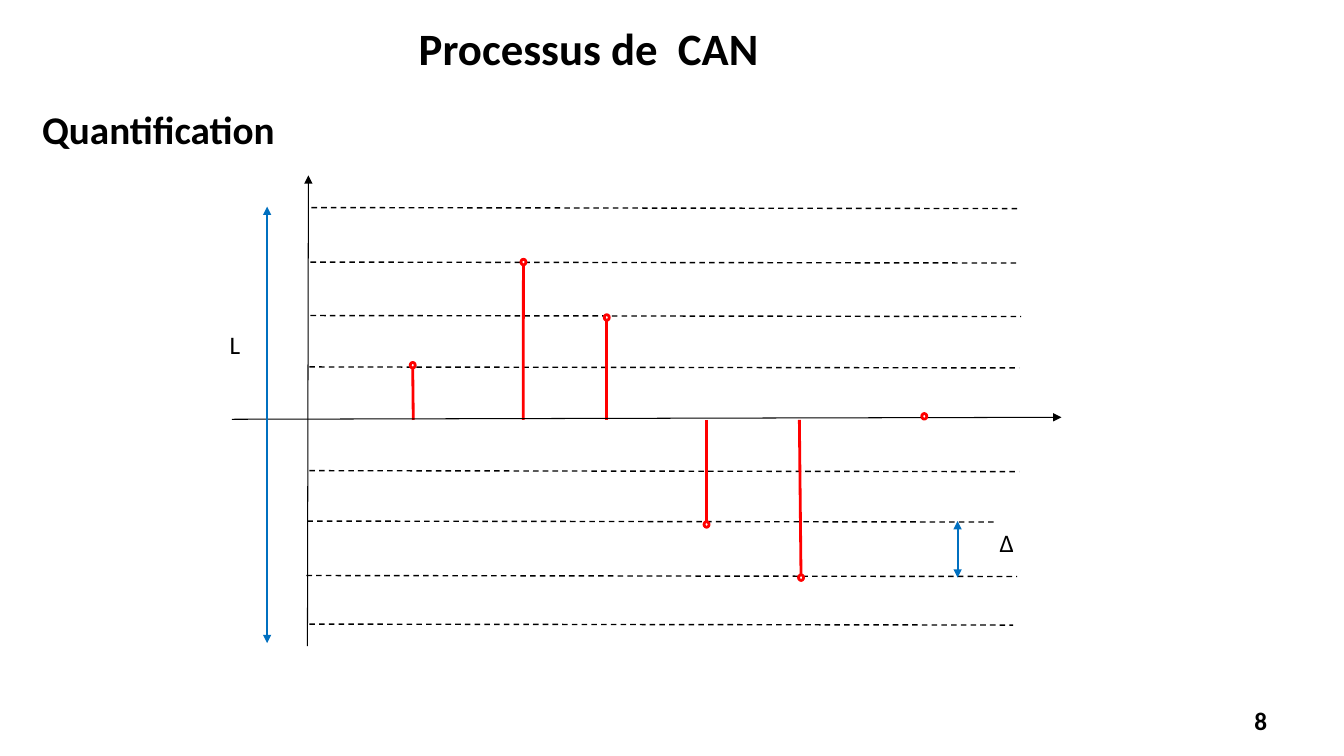
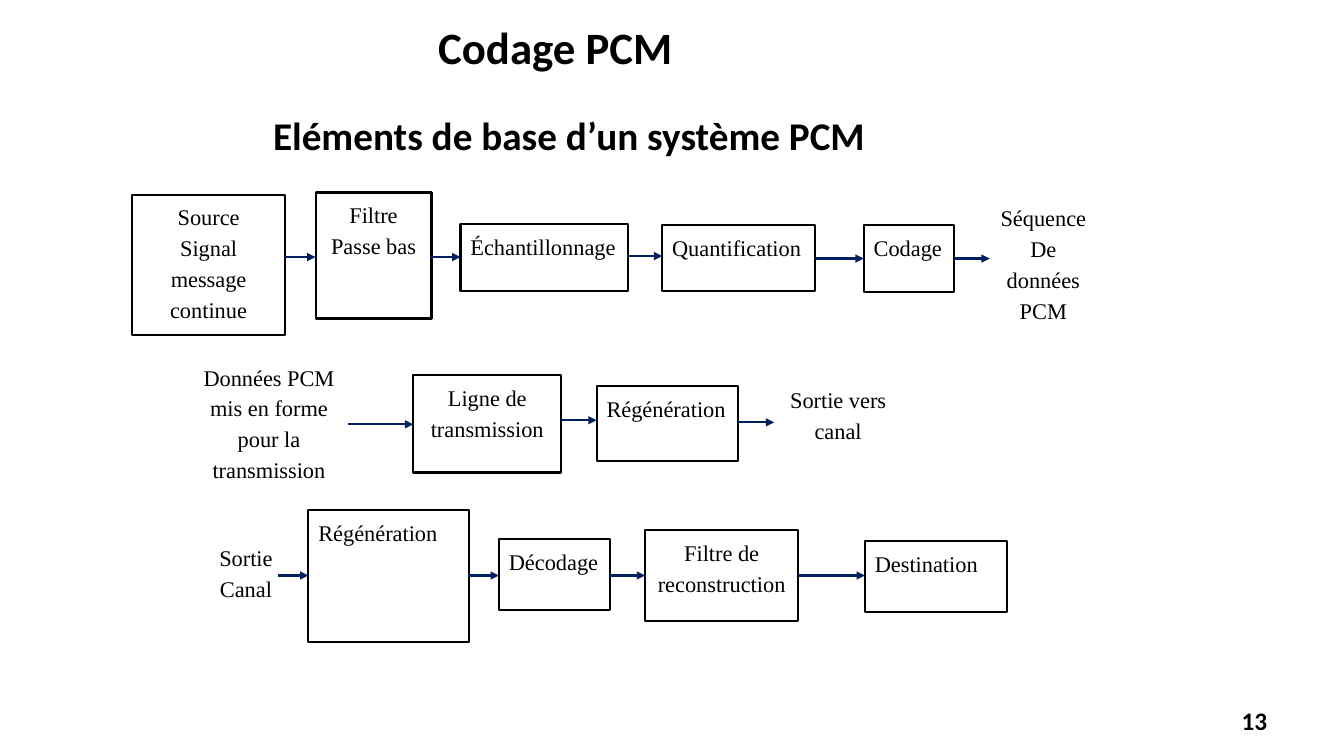
from itertools import pairwise

from lxml import etree
from pptx import Presentation
from pptx.dml.color import RGBColor
from pptx.enum.dml import MSO_LINE
from pptx.enum.shapes import MSO_CONNECTOR, MSO_SHAPE
from pptx.enum.text import MSO_ANCHOR, PP_ALIGN
from pptx.oxml.ns import qn
from pptx.util import Pt

LEFT, CENTER, RIGHT = PP_ALIGN.LEFT, PP_ALIGN.CENTER, PP_ALIGN.RIGHT
TOP, MIDDLE = MSO_ANCHOR.TOP, MSO_ANCHOR.MIDDLE
DASH = MSO_LINE.DASH
STRAIGHT = MSO_CONNECTOR.STRAIGHT

COLORS = {"ink": "000000", "paper": "FFFFFF", "sample": "FF0000",
          "measure": "0070C0", "flow": "002060"}
HEADING_FONT, BLOCK_FONT = "Calibri", "Times New Roman"
NUMBER_BOX = (688.3, 500.4, 223.9, 28.8)

# Quantification chart: axes, levels and samples
ORIGIN_Y = 299
AXES = [((165.6, 299.5), (758.2, 298.1)), ((219.6, 461.5), (220.3, 125.3))]
LEVEL_DROP = 0.7
LEVELS = [  # y, left, right
    (148.3, 222.5, 729.4), (187.2, 221.8, 728.6), (225.4, 221.8, 729.4),
    (262.1, 221, 728), (336.2, 221, 728), (372.2, 219.6, 710.6),
    (411.1, 218.9, 726.5), (445.8, 221, 723.6),
]
SAMPLES = [  # x on the axis, x at the tip, y of the tip
    (295.2, 294.8, 260.9), (373.7, 373.9, 187.2), (433.4, 433.4, 226.8),
    (504.7, 504.7, 374.6), (571, 572.2, 412.6), (660.2, 660.2, 297.4),
]
DOT_WIDTH, DOT_HEIGHT = 3.6, 4
MEASURES = [  # x, top, bottom
    (190.8, 147.6, 459.4), (684, 372.2, 412.6),
]
MEASURE_LABELS = [("L", (157, 231.8, 22.3, 28.8)),
                  ("Δ", (707, 373, 45.4, 28.8))]

# PCM chains: blocks as (text, box, outlined), then one arrow height per gap
CHAINS = [
    ([("Source\nSignal message continue", (94.3, 139, 109.4, 100.1), True),
      ("Filtre\nPasse bas", (225.4, 137.5, 82.8, 90), True),
      ("Échantillonnage", (329, 159.8, 119.5, 48.2), True),
      ("Quantification", (473, 160.6, 109.4, 47.5), True),
      ("Codage", (617, 160.6, 64.5, 48.2), True),
      ("Séquence\nDe données\nPCM", (707, 139.7, 76.5, 99.4), False)],
     [183.6, 183.6, 182.9, 184.7, 184.7]),
    ([("Données PCM mis en forme pour la transmission",
       (136, 253.4, 112.3, 99.4), False),
      ("Ligne de transmission", (295.2, 267.8, 105.8, 69.8), True),
      ("Régénération", (426.2, 275.8, 100.8, 53.3), True),
      ("Sortie vers canal", (553, 269.3, 91.4, 63.4), False)],
     [303.1, 300.2, 301.7]),
    ([("Sortie\nCanal", (133.2, 382.3, 85, 59), False),
      ("Régénération", (220.3, 364.3, 114.5, 94.3), True),
      ("Décodage", (356.4, 385.2, 79.5, 50.4), True),
      ("Filtre de reconstruction", (460.8, 378.7, 109.4, 64.8), True),
      ("Destination", (617.8, 386.6, 101.5, 50.4), True)],
     [411.1] * 4),
]
MIN_ARROW = 22


def color(name):
    return RGBColor.from_string(COLORS[name])


def write(shape, text, size, font=HEADING_FONT, bold=False, align=LEFT,
          anchor=TOP, spacing=1.0):
    frame = shape.text_frame
    frame.word_wrap = True
    frame.vertical_anchor = anchor
    frame.text = text
    for paragraph in frame.paragraphs:
        paragraph.alignment = align
        paragraph.line_spacing = spacing
        paragraph.font.name = font
        paragraph.font.size = Pt(size)
        paragraph.font.bold = bold
        paragraph.font.color.rgb = color("ink")


def add_text(slide, text, box, size, **style):
    write(slide.shapes.add_textbox(*map(Pt, box)), text, size, **style)


def add_line(slide, start, end, color_name, width, dash=None, heads=()):
    """Draw a line; heads may hold headEnd and tailEnd, in that order."""
    line = slide.shapes.add_connector(STRAIGHT, *map(Pt, (*start, *end)))
    line.line.color.rgb = color(color_name)
    line.line.width = Pt(width)
    if dash is not None:
        line.line.dash_style = dash
    outline = line.line._get_or_add_ln()
    for head in heads:
        etree.SubElement(outline, qn(f"a:{head}"), type="triangle")
    etree.SubElement(line._element.spPr, qn("a:effectLst"))


def add_shape(slide, kind, box, line_color, width):
    shape = slide.shapes.add_shape(kind, *map(Pt, box))
    shape.shadow.inherit = False
    shape.fill.solid()
    shape.fill.fore_color.rgb = color("paper")
    shape.line.color.rgb = color(line_color)
    shape.line.width = Pt(width)
    return shape


def new_slide(presentation, title, title_box, number):
    slide = presentation.slides.add_slide(presentation.slide_layouts[6])
    add_text(slide, title, title_box, 32, bold=True, align=CENTER,
             anchor=MIDDLE)
    add_text(slide, number, NUMBER_BOX, 18, bold=True, align=RIGHT,
             anchor=MIDDLE)
    return slide


def add_quantification(presentation):
    slide = new_slide(presentation, "Processus de  CAN",
                      (259.2, 10.8, 322.6, 46), "8")
    add_text(slide, "Quantification", (23, 72, 195.8, 41), 28, bold=True)
    for y, left, right in LEVELS:
        add_line(slide, (left, y), (right, y + LEVEL_DROP), "ink", 1, DASH)
    for base_x, tip_x, tip_y in SAMPLES:
        add_line(slide, (base_x, ORIGIN_Y + 1), (tip_x, tip_y), "sample", 2)
    for start, end in AXES:
        add_line(slide, start, end, "ink", 0.75, heads=["tailEnd"])
    for _, x, y in SAMPLES:
        dot = (x - DOT_WIDTH / 2, y - DOT_HEIGHT / 2, DOT_WIDTH, DOT_HEIGHT)
        add_shape(slide, MSO_SHAPE.OVAL, dot, "sample", 2)
    for x, top, bottom in MEASURES:
        add_line(slide, (x, top), (x, bottom), "measure", 1.5,
                 heads=["headEnd", "tailEnd"])
    for text, box in MEASURE_LABELS:
        add_text(slide, text, box, 18)


def add_block(slide, text, box, outlined):
    if outlined:
        shape = add_shape(slide, MSO_SHAPE.RECTANGLE, box, "ink", 1.5)
    else:
        shape = slide.shapes.add_textbox(*map(Pt, box))
    single_word = len(text.split()) == 1
    write(shape, text, 16, font=BLOCK_FONT, spacing=1.15,
          align=LEFT if single_word else CENTER)


def add_pcm_system(presentation):
    slide = new_slide(presentation, "Codage PCM",
                      (286.6, 10.1, 220.3, 46), "13")
    add_text(slide, "Eléments de base d’un système PCM",
             (182, 59, 448.6, 52.6), 28, bold=True, align=CENTER, spacing=1.5)
    for blocks, arrow_heights in CHAINS:
        for block in blocks:
            add_block(slide, *block)
        boxes = [box for _, box, _ in blocks]
        # Arrows span the gaps between neighbouring blocks
        for (before, after), y in zip(pairwise(boxes), arrow_heights):
            end = after[0]
            start = min(before[0] + before[2], end - MIN_ARROW)
            add_line(slide, (start, y), (end, y), "flow", 1.5,
                     heads=["tailEnd"])


def main():
    presentation = Presentation()
    presentation.slide_width, presentation.slide_height = Pt(960), Pt(540)
    add_quantification(presentation)
    add_pcm_system(presentation)
    presentation.save("out.pptx")


if __name__ == "__main__":
    main()
